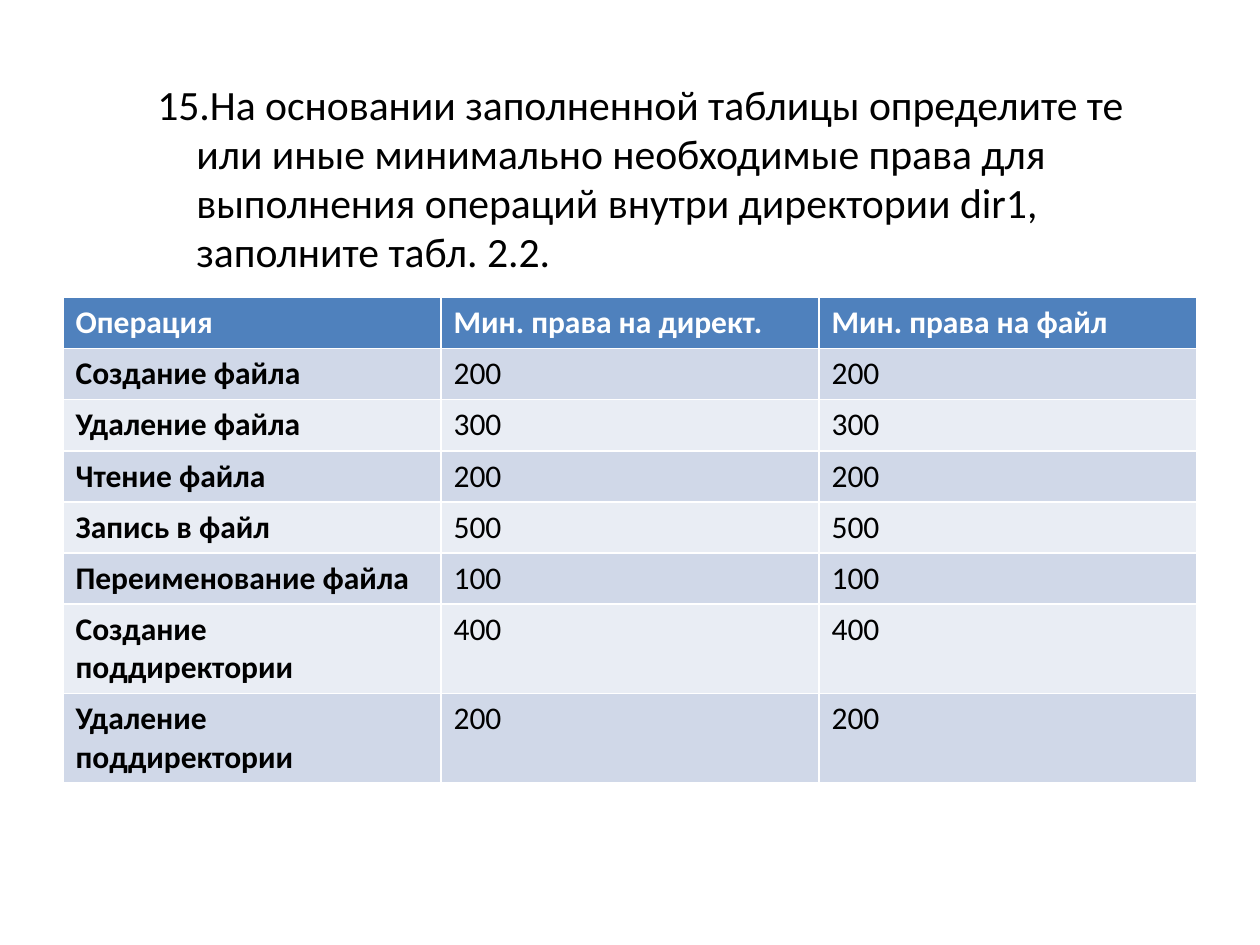
"""Build the slide with the table of minimal rights for operations."""
from lxml import etree
from pptx import Presentation, util as u
from pptx.dml import color
from pptx.oxml import ns

Pt = u.Pt
HUES = {"head": "4F81BD", "odd": "D0D8E8", "even": "E9EDF4", "white": "FFFFFF", "black": "000000"}
TASK = ("На основании заполненной таблицы определите те или иные минимально "
        "необходимые права для выполнения операций внутри директории dir1, "
        "заполните табл. 2.2.")
HEADS = ["Операция", "Мин. права на директ.", "Мин. права на файл"]
RIGHTS = [
    ("Создание файла", "200"),
    ("Удаление файла", "300"),
    ("Чтение файла", "200"),
    ("Запись в файл", "500"),
    ("Переименование файла", "100"),
    ("Создание поддиректории", "400"),
    ("Удаление поддиректории", "200"),
]


def tint(name):
    return color.RGBColor.from_string(HUES[name])


def write(frame, words, hue, form):
    run = frame.paragraphs[0].add_run()
    run.text = words
    run.font.color.rgb = tint(hue)
    for key, val in {"name": "Calibri", **form}.items():
        setattr(run.font, key, val)


deck = Presentation()
deck.slide_width, deck.slide_height = Pt(720), Pt(540)
slide = deck.slides.add_slide(deck.slide_layouts[6])

box = slide.shapes.add_textbox(Pt(46.8), Pt(43.2), Pt(637.2), Pt(105.1))
frame = box.text_frame
frame.word_wrap = True
write(frame, TASK, "black", {"size": Pt(23.8)})
para = frame.paragraphs[0]
para.line_spacing = 0.98
props = para._p.get_or_add_pPr()
for key, val in {"marL": Pt(58.3), "indent": Pt(-22.3)}.items():
    props.set(key, str(int(val)))
mark = etree.SubElement(props, ns.qn("a:buAutoNum"))
for key, val in {"type": "arabicPeriod", "startAt": "15"}.items():
    mark.set(key, val)

rows = [HEADS] + [(name, code, code) for name, code in RIGHTS]
grid = slide.shapes.add_table(len(rows), 3, Pt(36), Pt(170), Pt(648), Pt(276.8)).table
for col in grid.columns:
    col.width = Pt(216)
for i, row in enumerate(rows):
    grid.rows[i].height = Pt(51 if i > 5 else 29.2)
    fill = "head" if i == 0 else "odd" if i % 2 else "even"
    for j, words in enumerate(row):
        cell = grid.cell(i, j)
        cell.fill.solid()
        cell.fill.fore_color.rgb = tint(fill)
        form = {"size": Pt(18), "bold": i == 0 or j == 0}
        write(cell.text_frame, words, "black" if i else "white", form)

deck.save("out.pptx")
